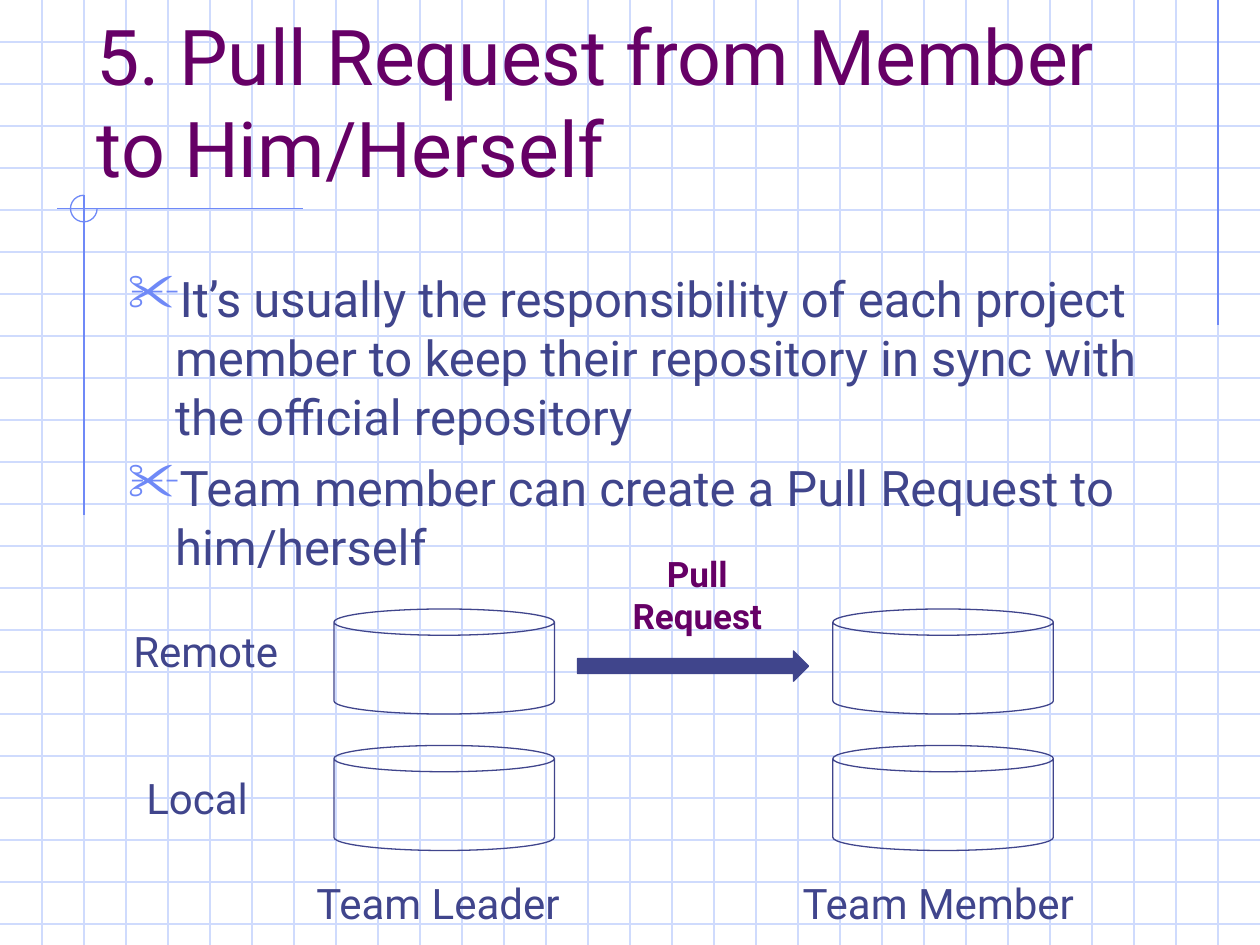
from lxml import etree
from pptx import Presentation
from pptx.dml.color import RGBColor
from pptx.enum.shapes import MSO_CONNECTOR, MSO_SHAPE
from pptx.enum.text import MSO_ANCHOR, MSO_AUTO_SIZE, PP_ALIGN
from pptx.oxml.ns import qn
from pptx.util import Pt

GRID_BLUE = RGBColor(0xCF, 0xDB, 0xFD)
ACCENT_BLUE = RGBColor(0x6F, 0x89, 0xF7)
INK = RGBColor(0x40, 0x45, 0x8C)
PURPLE = RGBColor(0x66, 0x00, 0x66)

STRAIGHT = MSO_CONNECTOR.STRAIGHT
CAN, ARC, RIGHT_ARROW = MSO_SHAPE.CAN, MSO_SHAPE.ARC, MSO_SHAPE.RIGHT_ARROW
TOP, BOTTOM = MSO_ANCHOR.TOP, MSO_ANCHOR.BOTTOM
LEFT, CENTER = PP_ALIGN.LEFT, PP_ALIGN.CENTER
NO_AUTOFIT = MSO_AUTO_SIZE.NONE

FONT = "Roboto"
WIDTH, HEIGHT = 720, 540
GRID_STEP = 24
LINE_WIDTH = 0.75
CAN_SIZE = (126, 60)
LEADER_X, MEMBER_X = 190.8, 475.9
REMOTE_Y, LOCAL_Y = 348, 426


def add_line(slide, start, end, color):
    line = slide.shapes.add_connector(STRAIGHT, *map(Pt, start + end))
    line.line.color.rgb = color
    line.line.width = Pt(LINE_WIDTH)
    etree.SubElement(line._element.spPr, qn("a:effectLst"))


def add_outline(slide, preset, box, color, adjustments, fill=None):
    shape = slide.shapes.add_shape(preset, *map(Pt, box))
    shape.shadow.inherit = False
    shape.line.color.rgb = color
    shape.line.width = Pt(LINE_WIDTH)
    if fill is None:
        shape.fill.background()
    else:
        shape.fill.solid()
        shape.fill.fore_color.rgb = fill
    for index, value in enumerate(adjustments):
        shape.adjustments[index] = value


def set_text(frame, text, size, color=INK, bold=False, align=LEFT,
             anchor=TOP, wrap=True, space_before=0):
    """Fill a text frame, one paragraph per line of text."""
    frame.text = text
    frame.word_wrap = wrap
    frame.auto_size = NO_AUTOFIT
    frame.vertical_anchor = anchor
    for paragraph in frame.paragraphs:
        paragraph.alignment = align
        paragraph.space_before = Pt(space_before)
        font = paragraph.font
        font.name, font.size, font.bold = FONT, Pt(size), bold
        font.color.rgb = color


def add_text(slide, box, text, size, **text_format):
    frame = slide.shapes.add_textbox(*map(Pt, box)).text_frame
    set_text(frame, text, size, **text_format)
    return frame


def add_bullet(paragraph, character, color, indent, percent):
    """Give a paragraph a coloured bullet with a hanging indent."""
    properties = paragraph._p.get_or_add_pPr()
    properties.set("marL", str(Pt(indent)))
    properties.set("indent", str(-Pt(indent)))
    bullet_color = etree.SubElement(properties, qn("a:buClr"))
    etree.SubElement(bullet_color, qn("a:srgbClr"), val=str(color))
    etree.SubElement(properties, qn("a:buSzPct"), val=str(percent * 1000))
    etree.SubElement(properties, qn("a:buChar"), char=character)
    run_defaults = properties.find(qn("a:defRPr"))
    if run_defaults is not None:
        properties.append(run_defaults)


def add_graph_paper(slide):
    for y in range(GRID_STEP, HEIGHT, GRID_STEP):
        add_line(slide, (0, y), (WIDTH, y), GRID_BLUE)
    for x in range(GRID_STEP, WIDTH, GRID_STEP):
        add_line(slide, (x, 0), (x, HEIGHT), GRID_BLUE)


def add_drafting_marks(slide):
    add_line(slide, (696, 0), (696, 186), ACCENT_BLUE)
    add_line(slide, (173, 119.2), (32.5, 119.2), ACCENT_BLUE)
    add_line(slide, (48, 111.6), (48, 294.5), ACCENT_BLUE)
    # Arc angles are in 60000ths of a degree, scaled by 100000: 0 to 270 degrees
    add_outline(slide, ARC, (40.3, 111.6, 15.2, 15.2), ACCENT_BLUE, (0, 162))


def add_title(slide, text):
    title = slide.shapes.title
    title.left, title.top, title.width, title.height = map(
        Pt, (48, 24, 612, 90))
    set_text(title.text_frame, text, 44, color=PURPLE, anchor=BOTTOM)
    slide.shapes._spTree.append(title._element)  # in front of the graph paper


def add_points(slide, points):
    frame = add_text(slide, (66, 150, 612, 186), "\n".join(points), 28,
                     space_before=7)
    for paragraph in frame.paragraphs:
        add_bullet(paragraph, "✂", ACCENT_BLUE, 27, 110)


def add_repositories(slide):
    for x in (LEADER_X, MEMBER_X):
        for y in (REMOTE_Y, LOCAL_Y):
            add_outline(slide, CAN, (x, y, *CAN_SIZE), INK, (0.25,))
    labels = (
        ("Remote", 69.1, 354.2, 93.6),
        ("Local", 76.5, 438, 72.7),
        ("Team Leader", 173.7, 497.8, 161.3),
        ("Team Member", 451.6, 497.8, 179.3),
    )
    for text, x, y, width in labels:
        add_text(slide, (x, y, width, 36), text, 24, wrap=False)


def add_pull_request(slide):
    add_text(slide, (350.6, 312, 95.8, 55.4), "Pull\nRequest", 20,
             color=PURPLE, bold=True, align=CENTER, wrap=False)
    add_outline(slide, RIGHT_ARROW, (330, 372, 132, 17.3), INK, (0.5, 0.5),
                fill=INK)


def main():
    presentation = Presentation()
    presentation.slide_width, presentation.slide_height = Pt(WIDTH), Pt(HEIGHT)
    title_only = presentation.slide_layouts.get_by_name("Title Only")
    slide = presentation.slides.add_slide(title_only)
    add_graph_paper(slide)
    add_drafting_marks(slide)
    add_title(slide, "5. Pull Request from Member to Him/Herself")
    add_points(slide, (
        "It’s usually the responsibility of each project member to keep "
        "their repository in sync with the official repository",
        "Team member can create a Pull Request to him/herself",
    ))
    add_repositories(slide)
    add_pull_request(slide)
    presentation.save("out.pptx")


if __name__ == "__main__":
    main()
